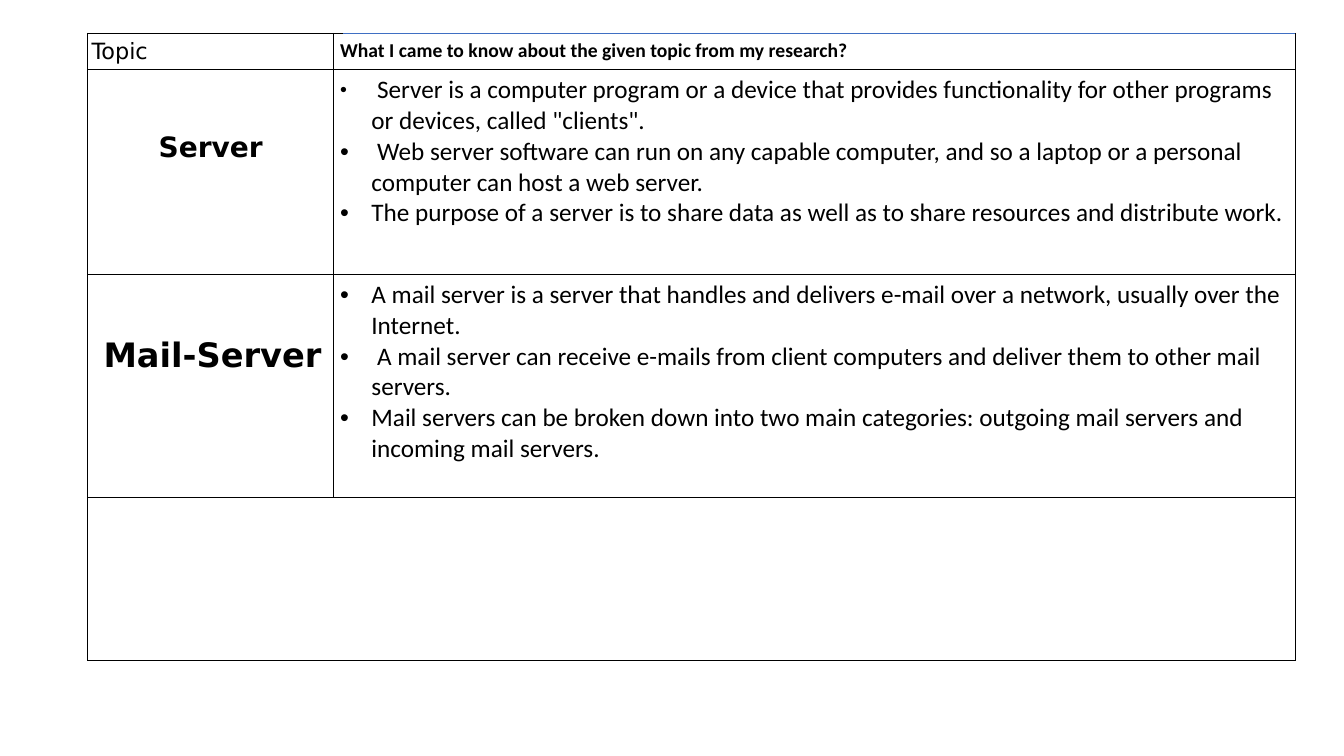
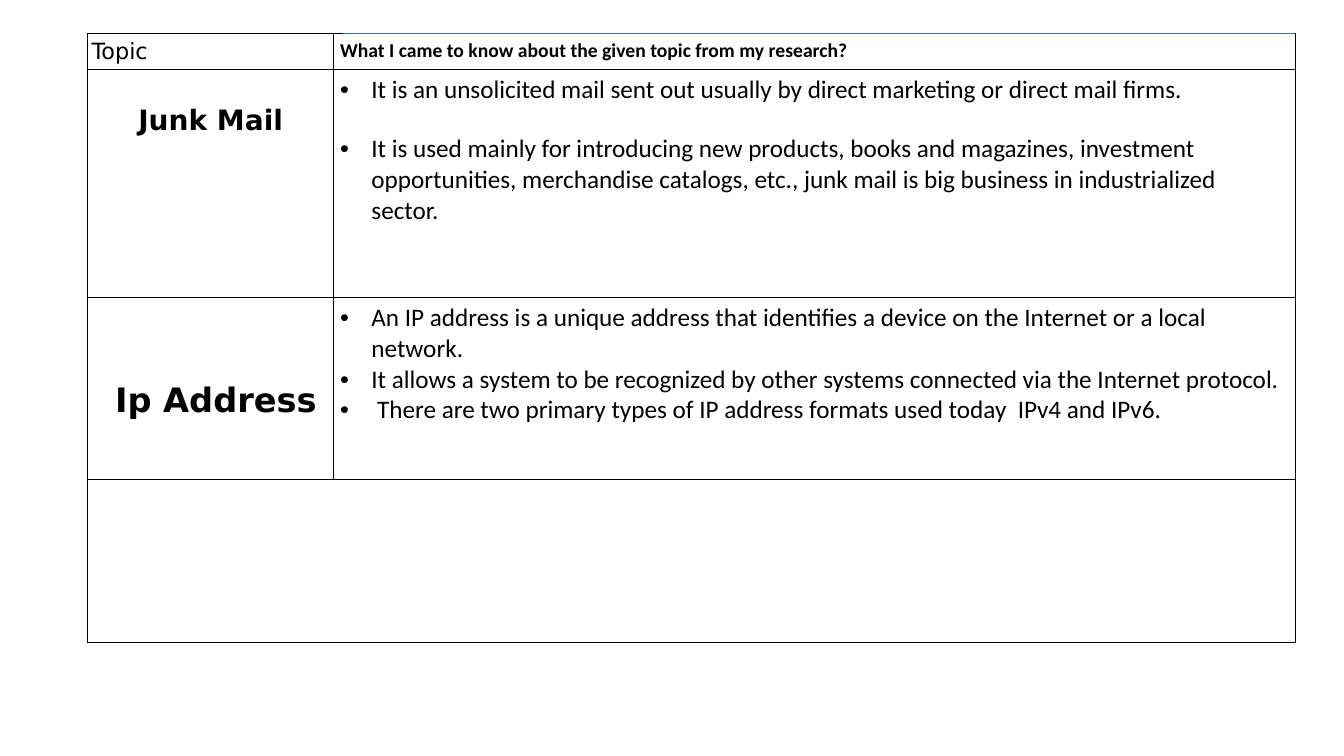
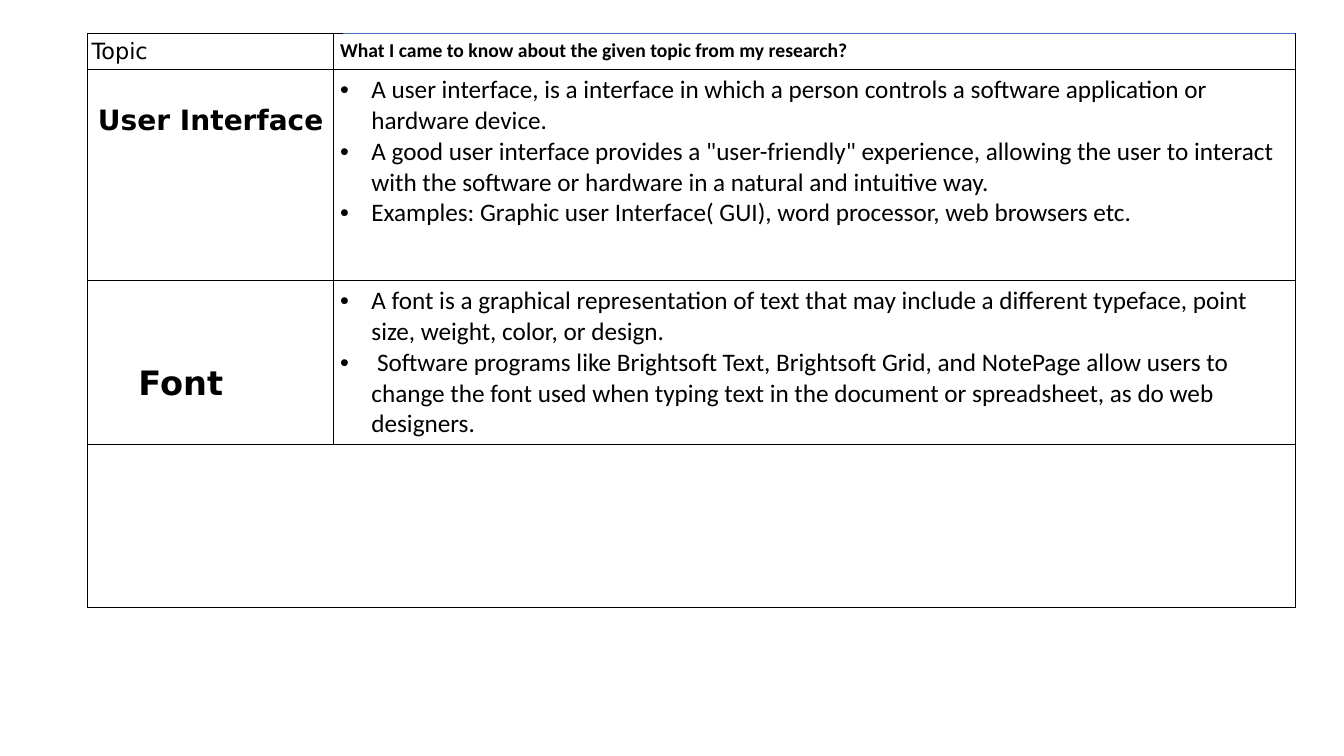
from lxml.etree import SubElement
from pptx import Presentation
from pptx.dml.color import RGBColor
from pptx.enum.shapes import MSO_CONNECTOR as CONN
from pptx.enum.text import PP_ALIGN as AL
from pptx.oxml.ns import qn
from pptx.util import Cm, Pt

BLACK = RGBColor(0x00, 0x00, 0x00)
BLUE = RGBColor(0x3F, 0x6F, 0xC3)

# Text formats
HEAD_TOPIC = dict(name="DejaVu Sans", size=Pt(16), bold=False)
HEAD_NOTES = dict(name="Calibri", size=Pt(14), bold=True)
TOPIC_UPPER = dict(name="DejaVu Sans", size=Pt(20), bold=True)
TOPIC_LOWER = dict(name="DejaVu Sans", size=Pt(24), bold=True)
NOTES = dict(name="Calibri", size=Pt(18), bold=False)

# Table grid, in centimetres
LEFT, TOP = 2.21, 0.84
COLS = (6.2, 24.23)
HEAD_H, FOOT_H = 0.91, 4.11
THIN, MEDIUM = 0.79, 0.96
HEADINGS = ("Topic", "What I came to know about the given topic from my research?")


class Deck:
    def __init__(self):
        self.prs = Presentation()
        self.prs.slide_width, self.prs.slide_height = Cm(33.87), Cm(19.05)
        self.s = None

    def new_slide(self):
        self.s = self.prs.slides.add_slide(self.prs.slide_layouts[6])

    def add_text(self, p, text, fmt):
        r = p.add_run()
        r.text = text
        for key, value in fmt.items():
            setattr(r.font, key, value)
        r.font.color.rgb = BLACK

    def margins(self, cell, side, top=0.13, left=None):
        cell.margin_left = Cm(side if left is None else left)
        cell.margin_right = Cm(side)
        cell.margin_top, cell.margin_bottom = Cm(top), Cm(0.13)

    def borders(self, cell, top, bottom):
        tcPr = cell._tc.get_or_add_tcPr()
        for tag, width in (("lnL", THIN), ("lnR", THIN), ("lnT", top), ("lnB", bottom)):
            ln = SubElement(tcPr, qn("a:" + tag), w=str(Pt(width)))
            fill = SubElement(ln, qn("a:solidFill"))
            SubElement(fill, qn("a:srgbClr"), val=str(BLACK))
        cell.fill.background()

    def bullets(self, cell, items, gap, first_pct):
        tf = cell.text_frame
        for i, text in enumerate(items):
            p = tf.add_paragraph() if i else tf.paragraphs[0]
            pPr = p._p.get_or_add_pPr()
            pPr.set("marL", str(Cm(0.79)))
            pPr.set("indent", str(-Cm(0.79)))
            if i and gap:
                p.space_before = Pt(gap)
            if not i and first_pct != 100:
                SubElement(pPr, qn("a:buSzPct"), val=str(first_pct * 1000))
            SubElement(pPr, qn("a:buFont"), typeface="Arial")
            SubElement(pPr, qn("a:buChar"), char="•")
            self.add_text(p, text, NOTES)

    def table(self, topics):
        heights = (HEAD_H, *(t["height"] for t in topics), FOOT_H)
        tbl = self.s.shapes.add_table(len(heights), 2, Cm(LEFT), Cm(TOP),
                                      Cm(sum(COLS)), Cm(sum(heights))).table
        tbl.first_row = tbl.horz_banding = False
        for col, width in zip(tbl.columns, COLS):
            col.width = Cm(width)
        for i, (row, height) in enumerate(zip(tbl.rows, heights)):
            row.height = Cm(height)
            for cell in row.cells:
                self.borders(cell, MEDIUM if i == 2 else THIN, MEDIUM if i == 1 else THIN)

        # Heading row
        for c, (text, fmt, side) in enumerate(zip(HEADINGS, (HEAD_TOPIC, HEAD_NOTES), (0.1, 0.16))):
            self.margins(tbl.cell(0, c), side)
            self.add_text(tbl.cell(0, c).text_frame.paragraphs[0], text, fmt)

        # Topic rows: the upper name is centred, the lower one indented
        for i, t in enumerate(topics, 1):
            name, notes = tbl.cell(i, 0), tbl.cell(i, 1)
            self.margins(name, 0.1, t["top"], t.get("left"))
            p = name.text_frame.paragraphs[0]
            p.alignment = AL.CENTER if i == 1 else AL.LEFT
            self.add_text(p, t["name"], TOPIC_UPPER if i == 1 else TOPIC_LOWER)
            self.margins(notes, 0.16)
            self.bullets(notes, t["notes"], t.get("gap", 0), t.get("first_pct", 100))

        # Empty closing row
        last = len(heights) - 1
        tbl.cell(last, 0).merge(tbl.cell(last, 1))

    def top_line(self):
        ln = self.s.shapes.add_connector(CONN.STRAIGHT, Cm(LEFT + COLS[0] + 0.23), Cm(TOP),
                                         Cm(LEFT + sum(COLS)), Cm(TOP))
        ln.line.color.rgb, ln.line.width = BLUE, Pt(0.75)
        SubElement(ln._element.spPr, qn("a:effectLst"))


# Slide contents: an upper and a lower topic each
SLIDES = [
    (dict(name="Server", height=5.16, top=1.57, first_pct=78, notes=[
        " Server is a computer program or a device that provides functionality for other "
        "programs or devices, called \"clients\".",
        " Web server software can run on any capable computer, and so a laptop or a personal "
        "computer can host a web server.",
        "The purpose of a server is to share data as well as to share resources and "
        "distribute work."]),
     dict(name="Mail-Server", height=5.63, top=1.57, left=0.4, notes=[
         "A mail server is a server that handles and delivers e-mail over a network, usually "
         "over the Internet.",
         " A mail server can receive e-mails from client computers and deliver them to other "
         "mail servers.",
         "Mail servers can be broken down into two main categories: outgoing mail servers and "
         "incoming mail servers."])),
    (dict(name="Junk Mail", height=5.74, top=0.87, gap=20, notes=[
        "It is an unsolicited mail sent out usually by direct marketing or direct mail firms.",
        "It is used mainly for introducing new products, books and magazines, investment "
        "opportunities, merchandise catalogs, etc., junk mail is big business in "
        "industrialized sector."]),
     dict(name="Ip Address", height=4.58, top=2.11, left=0.69, notes=[
         "An IP address is a unique address that identifies a device on the Internet or a "
         "local network.",
         "It allows a system to be recognized by other systems connected via the Internet "
         "protocol.",
         " There are two primary types of IP address formats used today  IPv4 and IPv6."])),
    (dict(name="User Interface", height=5.32, top=0.87, notes=[
        "A user interface, is a interface in which a person controls a software application "
        "or hardware device.",
        "A good user interface provides a \"user-friendly\" experience, allowing the user to "
        "interact with the software or hardware in a natural and intuitive way.",
        "Examples: Graphic user Interface( GUI), word processor, web browsers etc."]),
     dict(name="Font", height=4.11, top=2.11, left=1.28, notes=[
         "A font is a graphical representation of text that may include a different typeface, "
         "point size, weight, color, or design.",
         " Software programs like Brightsoft Text, Brightsoft Grid, and NotePage allow users "
         "to change the font used when typing text in the document or spreadsheet, as do web "
         "designers."])),
]


def main():
    deck = Deck()
    for topics in SLIDES:
        deck.new_slide()
        deck.table(topics)
        deck.top_line()
    deck.prs.save("out.pptx")


if __name__ == "__main__":
    main()
